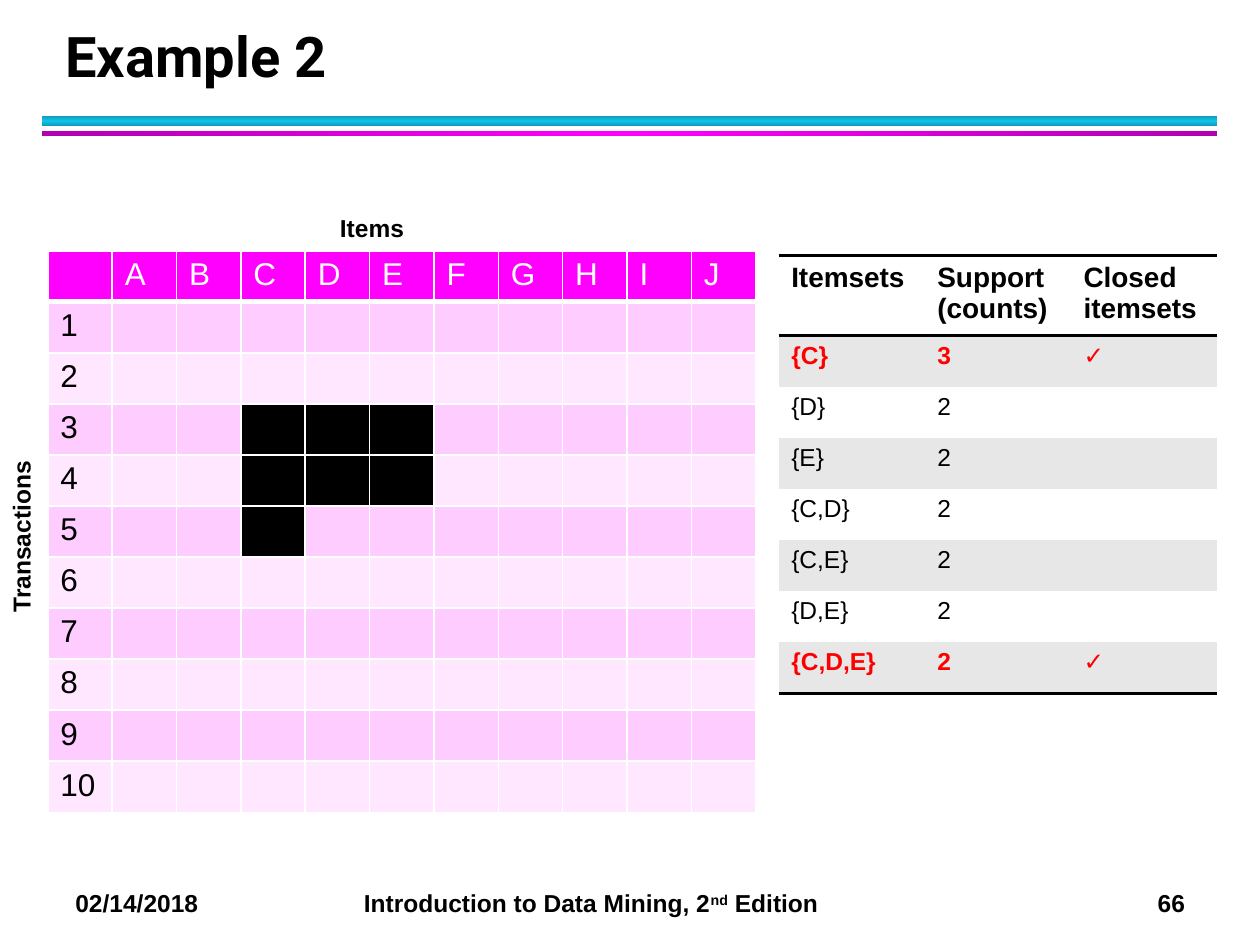
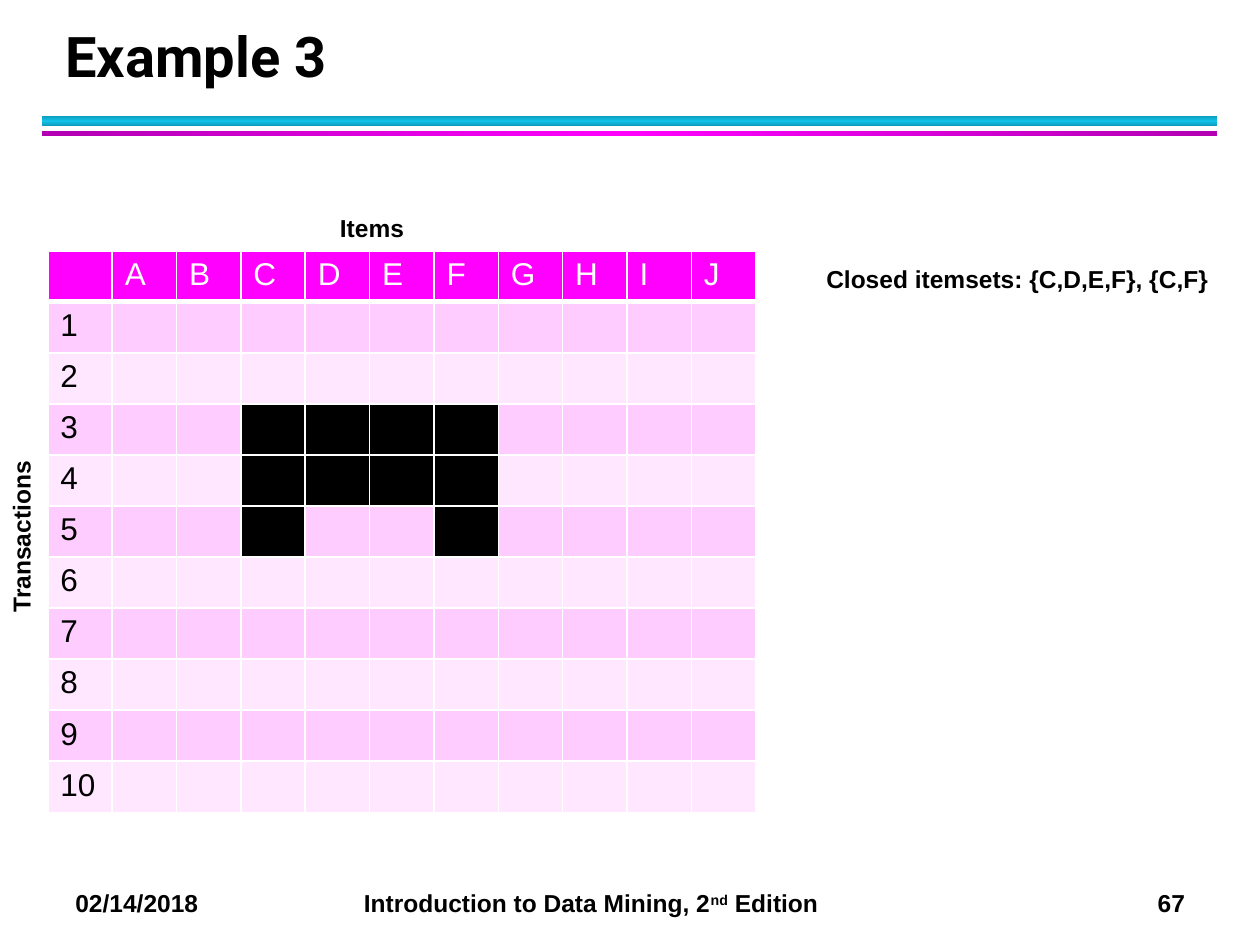
from copy import deepcopy
from dataclasses import dataclass

from lxml.etree import SubElement
from pptx import Presentation
from pptx.dml.color import RGBColor as RGB
from pptx.enum.shapes import MSO_SHAPE as Shape
from pptx.enum.text import MSO_ANCHOR as Anchor
from pptx.oxml.ns import qn
from pptx.util import Inches, Pt

DATE = "02/14/2018"
BOOK = ("Introduction to Data Mining, 2", "nd", " Edition")
ITEMS = "ABCDEFGHIJ"
TRANSACTIONS = 10

EXAMPLES = [
    {
        "title": "Example 2",
        "number": 66,
        "bought": {3: "CDE", 4: "CDE", 5: "C"},
        "itemsets": [
            ("Itemsets", "Support\n(counts)", "Closed itemsets"),
            ("{C}", "3", "✓"),
            ("{D}", "2", ""),
            ("{E}", "2", ""),
            ("{C,D}", "2", ""),
            ("{C,E}", "2", ""),
            ("{D,E}", "2", ""),
            ("{C,D,E}", "2", "✓"),
        ],
    },
    {
        "title": "Example 3",
        "number": 67,
        "bought": {3: "CDEF", 4: "CDEF", 5: "CF"},
        "answer": "Closed itemsets: {C,D,E,F}, {C,F}",
    },
]


@dataclass(frozen=True)
class Theme:
    ink: str = "000000"
    paper: str = "FFFFFF"
    accent: str = "FF00FF"
    accent_dark: str = "B200B2"
    cyan: str = "12C2E9"
    cyan_dark: str = "0E9BBA"
    pink: str = "FFCCFF"
    pale_pink: str = "FFE7FF"
    grey: str = "E7E7E7"
    closed: str = "FF0000"
    title_font: str = "Roboto"
    body_font: str = "Arial"
    title_size: int = 32
    grid_size: int = 18
    header_size: int = 16
    body_size: int = 14


THEME = Theme()


def style(para, size=THEME.body_size, color=THEME.ink, bold=True, font=THEME.body_font):
    para.font.name = font
    para.font.size = Pt(size)
    para.font.bold = bold
    para.font.color.rgb = RGB.from_string(color)


def add_text(page, text, left, top, width, height, wrap=False, **look):
    box = page.shapes.add_textbox(*map(Inches, (left, top, width, height)))
    box.text_frame.word_wrap = wrap
    para = box.text_frame.paragraphs[0]
    para.text = text
    style(para, **look)
    return box


def add_bar(page, top, height, edge, middle, angle):
    """Draw a band whose colour runs from edge to middle and back."""
    bar = page.shapes.add_shape(
        Shape.RECTANGLE, Inches(0.33), Inches(top), Inches(9.33), Inches(height))
    bar.shadow.inherit = False
    bar.line.fill.background()
    bar.fill.gradient()
    bar.fill.gradient_angle = angle
    first, last = bar.fill.gradient_stops
    first.color.rgb = RGB.from_string(edge)
    last.color.rgb = RGB.from_string(middle)
    last.position = 0.5
    stops = bar.element.spPr.find(".//" + qn("a:gsLst"))
    end = deepcopy(stops[0])
    end.set("pos", "100000")
    stops.append(end)


def add_footer(page, number):
    box = add_text(page, f"{DATE}\t", 0.5, 7, 9.33, 0.34, wrap=True)
    para = box.text_frame.paragraphs[0]
    for part in (*BOOK, f"\t{number}"):
        span = para.add_run()
        span.text = part
        if part == BOOK[1]:
            span.font._element.set("baseline", "30000")
    tabs = SubElement(para._p.get_or_add_pPr(), qn("a:tabLst"))
    # The default run style has to come after the tab stops.
    tabs.getparent().insert(0, tabs)
    for position in (2.29, 8.59):
        SubElement(tabs, qn("a:tab"), pos=str(Inches(position)), algn="l")


def add_frame(page, title, number):
    add_bar(page, 0.92, 0.08, THEME.cyan_dark, THEME.cyan, 90)
    add_bar(page, 1.04, 0.04, THEME.accent_dark, THEME.accent, 0)
    add_footer(page, number)
    heading = add_text(page, title, 0.42, 0.17, 9.06, 0.58, wrap=True,
                       size=THEME.title_size, font=THEME.title_font)
    heading.text_frame.vertical_anchor = Anchor.BOTTOM
    heading.text_frame.paragraphs[0].line_spacing = Pt(36)


def add_plain_table(page, rows, columns, left, top, width, height):
    table = page.shapes.add_table(
        rows, columns, *map(Inches, (left, top, width, height))).table
    table.first_row = table.horz_banding = False
    return table


def fill_cell(cell, text, fill, borders, border_color, **look):
    """Borders maps a side (L, R, T, B) to points; other sides have no line."""
    properties = cell._tc.get_or_add_tcPr()
    for side in "LRTB":
        width = borders.get(side, 0)
        line = SubElement(properties, qn(f"a:ln{side}"), w=str(Pt(width)))
        if width:
            SubElement(SubElement(line, qn("a:solidFill")), qn("a:srgbClr"), val=border_color)
        else:
            SubElement(line, qn("a:noFill"))
    cell.fill.solid()
    cell.fill.fore_color.rgb = RGB.from_string(fill)
    cell.text = text
    for para in cell.text_frame.paragraphs:
        style(para, **look)


def add_transaction_grid(page, bought):
    rows = [("", *ITEMS)]
    rows += [(str(n), *[""] * len(ITEMS)) for n in range(1, TRANSACTIONS + 1)]
    table = add_plain_table(page, len(rows), len(rows[0]), 0.38, 1.99, 5.62, 4.46)
    for r, row in enumerate(rows):
        header = r == 0
        band = THEME.accent if header else (THEME.pale_pink, THEME.pink)[r % 2]
        for c, text in enumerate(row):
            marked = c > 0 and ITEMS[c - 1] in bought.get(r, "")
            fill_cell(table.cell(r, c), text, THEME.ink if marked else band,
                      {"L": 1, "R": 1, "T": 1, "B": 3 if header else 1}, THEME.paper,
                      size=THEME.grid_size, bold=False,
                      color=THEME.paper if header else THEME.ink)
    add_text(page, "Items", 2.6, 1.64, 0.77, 0.4)
    add_text(page, "Transactions", -0.54, 4.02, 1.48, 0.4).rotation = 270


def add_itemset_table(page, rows):
    table = add_plain_table(page, len(rows), 3, 6.18, 2.03, 3.48, 3.47)
    last = len(rows) - 1
    for r, row in enumerate(rows):
        header, closed = r == 0, row[2] == "✓"
        table.rows[r].height = Inches(0.63 if header else 2.84 / last)
        borders = {"T": 2 if r < 2 else 0, "B": 2 if r in (0, last) else 0}
        for c, text in enumerate(row):
            fill_cell(table.cell(r, c), text, (THEME.paper, THEME.grey)[r % 2],
                      borders, THEME.ink, bold=header or closed,
                      size=THEME.header_size if header else THEME.body_size,
                      color=THEME.closed if closed else THEME.ink)


def main():
    deck = Presentation()
    deck.slide_width, deck.slide_height = Inches(10), Inches(7.5)
    for example in EXAMPLES:
        page = deck.slides.add_slide(deck.slide_layouts[6])
        add_frame(page, example["title"], example["number"])
        add_transaction_grid(page, example["bought"])
        if "itemsets" in example:
            add_itemset_table(page, example["itemsets"])
        if "answer" in example:
            add_text(page, example["answer"], 6.46, 2.05, 3.4, 0.4)
    deck.save("out.pptx")


if __name__ == "__main__":
    main()
